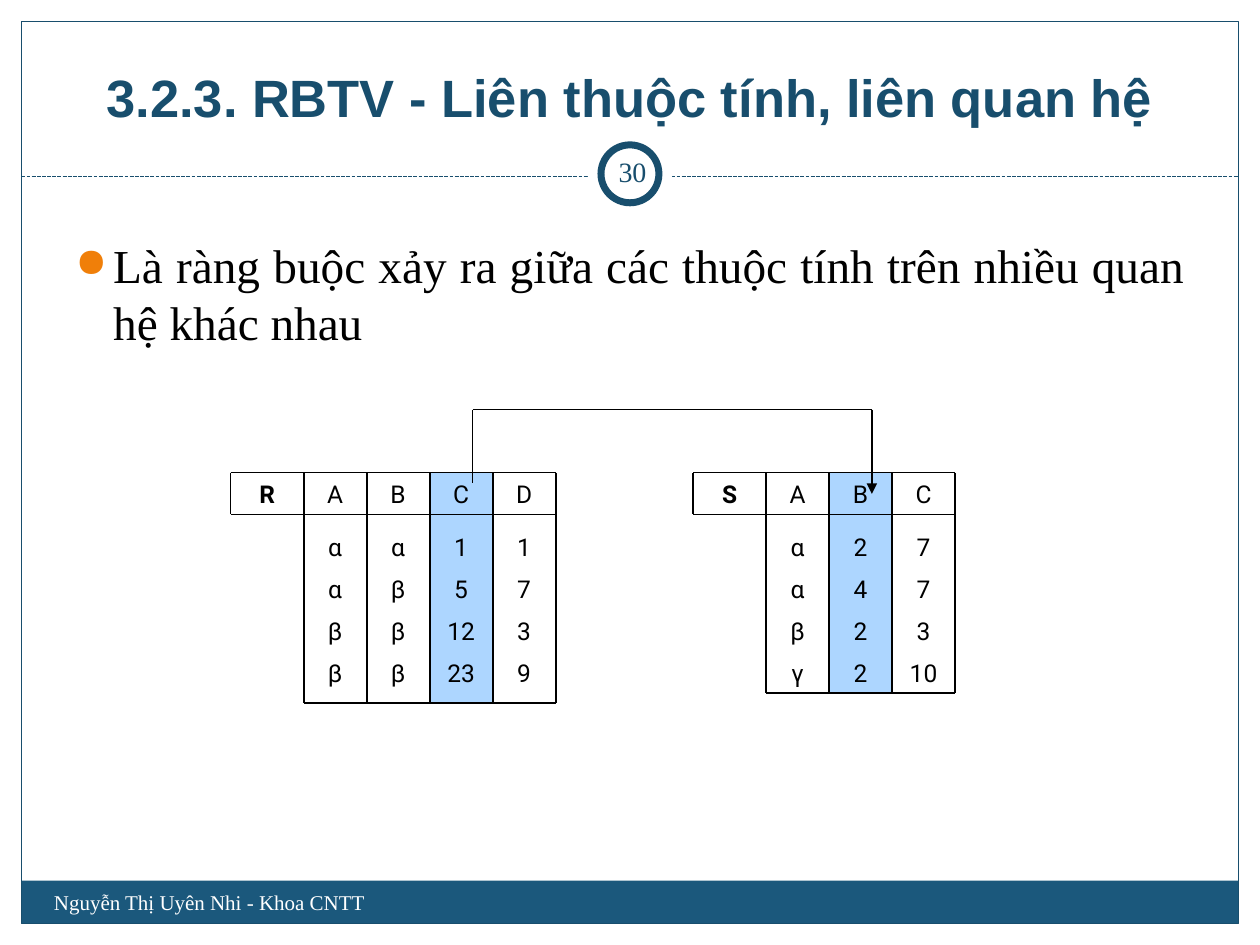
from dataclasses import dataclass

from lxml.etree import SubElement
from pptx import Presentation
from pptx.dml.color import RGBColor
from pptx.enum.dml import MSO_LINE
from pptx.enum.shapes import MSO_CONNECTOR, MSO_SHAPE
from pptx.enum.text import MSO_ANCHOR, PP_ALIGN
from pptx.oxml.ns import qn
from pptx.util import Inches, Pt


@dataclass(frozen=True)
class Theme:
    navy: str = "184E6D"
    bar: str = "1B587C"
    white: str = "FFFFFF"
    black: str = "000000"
    orange: str = "F07F09"
    sky: str = "99CCFF"
    head: str = "Arial"
    serif: str = "Times New Roman"
    sans: str = "Roboto"
    title: int = 30
    body: int = 27
    number: int = 16
    cell: int = 14
    foot: int = 12


THEME = Theme()
COL, KEY, ROW, GAP = 0.5, 0.58, 1 / 3, 0.09


def inches(*values):
    return [Inches(v) for v in values]


def style(item, **values):
    for name, value in values.items():
        setattr(item, name, value)


def write(shape, text, size, face, color, bold=False, align=PP_ALIGN.LEFT,
          anchor=MSO_ANCHOR.TOP, **frame):
    style(shape.text_frame, word_wrap=True, vertical_anchor=anchor, **frame)
    shape.text_frame.text = text
    para = shape.text_frame.paragraphs[0]
    para.alignment = align
    style(para.runs[0].font, size=Pt(size), name=face, bold=bold)
    para.runs[0].font.color.rgb = RGBColor.from_string(color)
    return para


def label(shapes, box, text, *args, **kinds):
    return write(shapes.add_textbox(*inches(*box)), text, *args, **kinds)


def block(shapes, kind, box, fill=None, line=None, width=1):
    shape = shapes.add_shape(kind, *inches(*box))
    shape.shadow.inherit = False
    if fill:
        shape.fill.solid()
        shape.fill.fore_color.rgb = RGBColor.from_string(fill)
    else:
        shape.fill.background()
    if line:
        shape.line.color.rgb = RGBColor.from_string(line)
        shape.line.width = Pt(width)
    else:
        shape.line.fill.background()
    return shape


def rule(shapes, start, end, color=THEME.black, width=1):
    line = shapes.add_connector(MSO_CONNECTOR.STRAIGHT, *inches(*start, *end))
    line.line.color.rgb = RGBColor.from_string(color)
    line.line.width = Pt(width)
    SubElement(line._element.spPr, qn("a:effectLst"))
    return line


def frame(shapes, box):
    """Draw the footer bar, border, dashed rule and number ring."""
    left, top, wide, high = box
    block(shapes, MSO_SHAPE.RECTANGLE,
          (left, top + high - 0.34, wide, 0.34), THEME.bar)
    block(shapes, MSO_SHAPE.RECTANGLE, box, line=THEME.navy, width=0.75)
    level = top + 1.23
    dash = rule(shapes, (left, level), (left + wide, level), THEME.navy, 0.75)
    dash.line.dash_style = MSO_LINE.SQUARE_DOT
    mid = left + wide / 2
    for size, line in ((0.67, None), (0.46, THEME.navy)):
        spot = (mid - size / 2, level - 0.02 - size / 2, size, size)
        block(shapes, MSO_SHAPE.OVAL, spot, THEME.white, line, 4)


def heading(shape, box, text):
    style(shape, **dict(zip(("left", "top", "width", "height"), inches(*box))))
    write(shape, text, THEME.title, THEME.head, THEME.navy, True,
          PP_ALIGN.CENTER, MSO_ANCHOR.BOTTOM)


def point(shapes, box, text):
    para = label(shapes, box, text, THEME.body, THEME.serif, THEME.black,
                 align=PP_ALIGN.JUSTIFY)
    props = para._p.get_or_add_pPr()
    props.set("marL", str(Inches(0.3)))
    props.set("indent", str(Inches(-0.3)))
    color = SubElement(props, qn("a:buClr"))
    SubElement(color, qn("a:srgbClr"), val=THEME.orange)
    SubElement(props, qn("a:buSzPct"), val="85000")
    SubElement(props, qn("a:buChar"), char="●")


def shade(shapes, box):
    """Mark a column with a translucent band."""
    band = block(shapes, MSO_SHAPE.RECTANGLE, box, THEME.sky, THEME.sky)
    color = band.fill._xPr.find(".//" + qn("a:srgbClr"))
    SubElement(color, qn("a:alpha"), val="80000")


def relation(shapes, box, name, heads, rows, marked):
    """Draw a named relation with one marked column."""
    left, top, high = box
    first = left + KEY
    right = first + COL * len(heads)
    low = top + high
    shade(shapes, (first + COL * heads.index(marked), top, COL, high))
    group = shapes.add_group_shape().shapes

    def cell(x, y, wide, text, bold=False):
        label(group, (x, y, wide, ROW), text, THEME.cell, THEME.sans,
              THEME.black, bold, PP_ALIGN.CENTER)

    cell(left, top, KEY, name, True)
    for r, values in enumerate([heads, *rows]):
        y = top + r * ROW + (GAP if r else 0)
        for c, value in enumerate(values):
            cell(first + c * COL, y, COL, value)
    for x, y in ((left, top), (left, top + ROW), (first, low)):
        rule(group, (x, y), (right, y))
    rule(group, (left, top), (left, top + ROW))
    for c in range(len(heads) + 1):
        x = first + c * COL
        rule(group, (x, top), (x, low))


def link(shapes, box):
    """Draw a bent arrow over the top of the box."""
    left, top, wide, rise, drop = box
    right = left + wide
    group = shapes.add_group_shape().shapes
    spots = ((left, top + rise), (left, top), (right, top), (right, top + drop))
    for start, end in zip(spots, spots[1:]):
        last = rule(group, start, end)
    SubElement(last.line._get_or_add_ln(), qn("a:tailEnd"), type="triangle")


def main():
    deck = Presentation()
    style(deck, slide_width=Inches(10), slide_height=Inches(7.5))
    slide = deck.slides.add_slide(deck.slide_layouts[5])
    shapes = slide.shapes
    frame(shapes, (0.17, 0.17, 9.66, 7.16))
    heading(shapes.title, (0.5, 0.39, 9, 0.68),
            "3.2.3. RBTV - Liên thuộc tính, liên quan hệ")
    point(shapes, (0.5, 1.83, 9, 5.17),
          "Là ràng buộc xảy ra giữa các thuộc tính trên nhiều quan hệ khác nhau")
    relation(shapes, (1.83, 3.75, 1.83), "R", "ABCD",
             [("α", "α", "1", "1"), ("α", "β", "5", "7"),
              ("β", "β", "12", "3"), ("β", "β", "23", "9")], "C")
    relation(shapes, (5.5, 3.75, 1.75), "S", "ABC",
             [("α", "2", "7"), ("α", "4", "7"),
              ("β", "2", "3"), ("γ", "2", "10")], "B")
    link(shapes, (3.75, 3.25, 3.17, 0.58, 0.67))
    label(shapes, (0.33, 7.01, 3.92, 0.4), "Nguyễn Thị Uyên Nhi - Khoa CNTT",
          THEME.foot, THEME.serif, THEME.white)
    pad = dict.fromkeys(("margin_left", "margin_right", "margin_top",
                         "margin_bottom"), Inches(0.05))
    label(shapes, (4.77, 1.12, 0.5, 0.48), "30", THEME.number, THEME.serif,
          THEME.navy, align=PP_ALIGN.CENTER, anchor=MSO_ANCHOR.MIDDLE, **pad)
    deck.save("out.pptx")


if __name__ == "__main__":
    main()
